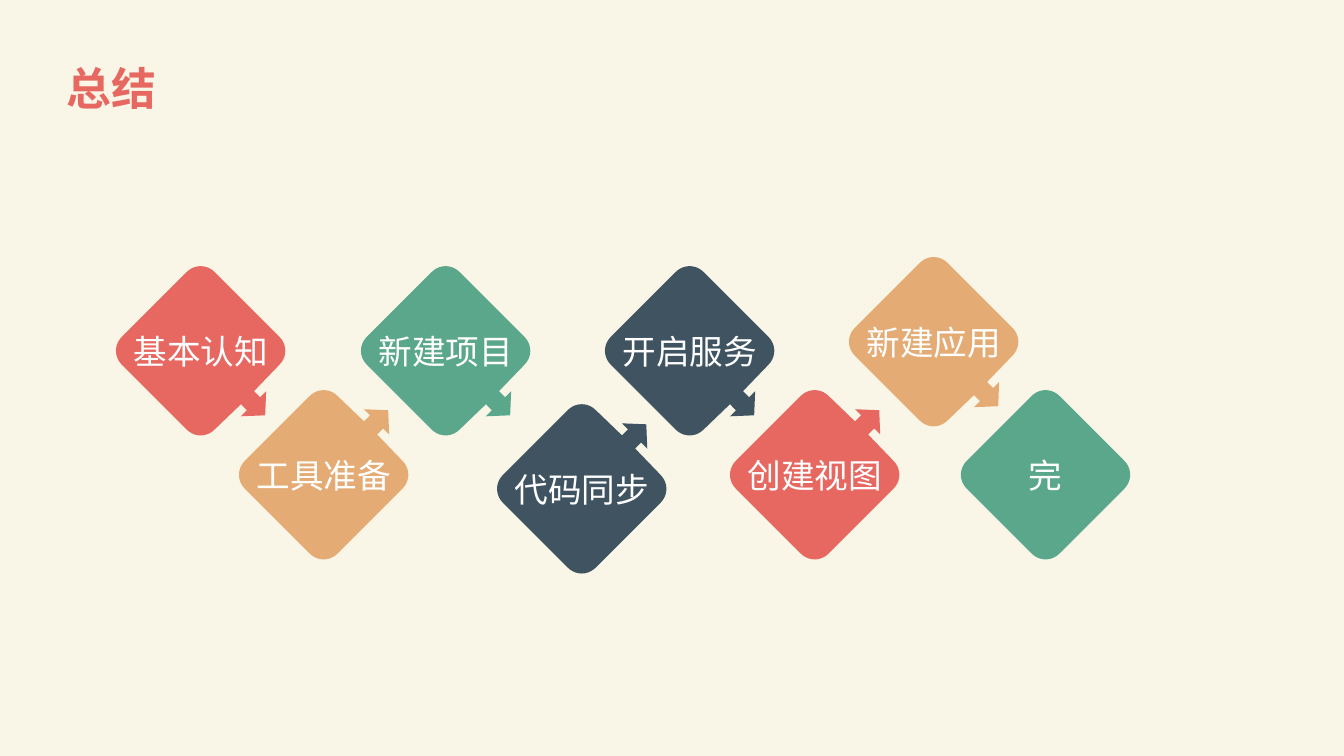
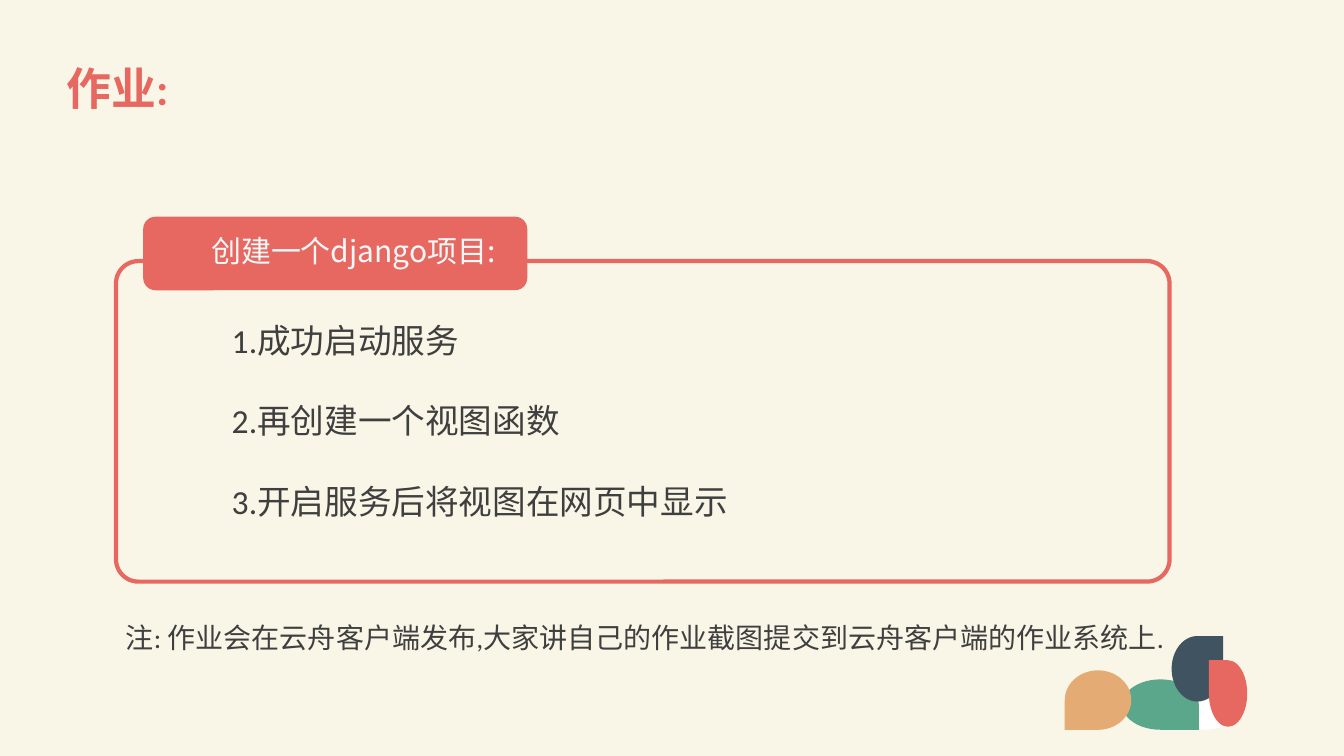
from dataclasses import dataclass

from lxml import etree
from pptx import Presentation
from pptx.dml.color import RGBColor
from pptx.enum.lang import MSO_LANGUAGE_ID
from pptx.enum.shapes import MSO_SHAPE
from pptx.enum.text import MSO_ANCHOR, PP_ALIGN
from pptx.oxml.ns import qn
from pptx.util import Inches, Pt

ROUNDED = MSO_SHAPE.ROUNDED_RECTANGLE
OVAL = MSO_SHAPE.OVAL
TEARDROP = MSO_SHAPE.TEAR
LEFT, CENTER = PP_ALIGN.LEFT, PP_ALIGN.CENTER
TOP, MIDDLE = MSO_ANCHOR.TOP, MSO_ANCHOR.MIDDLE
CHINESE = MSO_LANGUAGE_ID.SIMPLIFIED_CHINESE


@dataclass(frozen=True)
class Theme:
    """Colours, fonts and type sizes shared by the slides."""
    cream: str = "F9F6E7"
    coral: str = "E76861"
    green: str = "5BA78C"
    slate: str = "3F5361"
    sand: str = "E5AB74"
    white: str = "FFFFFF"
    tag_ink: str = "F8F8F8"
    ink: str = "3F3F3F"
    body_font: str = "Calibri"
    tile_font: str = "Arial"
    tag_font: str = "Noto Sans CJK SC"
    title_size: float = 32
    body_size: float = 24
    tag_size: float = 21.4
    note_size: float = 20


THEME = Theme()

TILE_SIZE = 1.68
CORNER = [(0.78, -0.14), (0.86, -0.06), (0.86, 0.06), (0.78, 0.14)]
ARROW = [(0.53, 0.40), (0.59, 0.46), (0.65, 0.40), (0.64, 0.64),
         (0.40, 0.65), (0.46, 0.59), (0.40, 0.53)]
CURVE_STEPS = 10

STEPS = [
    ("基本认知", 1.15, 2.64, THEME.coral, "down"),
    ("工具准备", 2.37, 3.87, THEME.sand, "up"),
    ("新建项目", 3.58, 2.64, THEME.green, "down"),
    ("代码同步", 4.93, 4.01, THEME.slate, "up"),
    ("开启服务", 6.00, 2.64, THEME.slate, "down"),
    ("创建视图", 7.24, 3.87, THEME.coral, "up"),
    ("新建应用", 8.42, 2.55, THEME.sand, "down"),
    ("完", 9.53, 3.87, THEME.green, None),
]

TASKS = ["1.成功启动服务", "2.再创建一个视图函数", "3.开启服务后将视图在网页中显示"]
NOTE = "注: 作业会在云舟客户端发布,大家讲自己的作业截图提交到云舟客户端的作业系统上."

PEBBLES = [
    (0.57, 0.43, 0.76, 0.50, 90, THEME.green),
    (1.06, 0.00, 0.51, 0.65, 0, THEME.slate),
    (1.43, 0.24, 0.38, 0.66, 270, THEME.coral),
    (0.00, 0.34, 0.66, 0.59, 180, THEME.sand),
]


def write_text(frame, lines, *, size, color, font=THEME.body_font, bold=False,
               align=LEFT, anchor=TOP, spacing=None, gap=0, wrap=True):
    """Fill a text frame with one formatted paragraph per line."""
    frame.word_wrap = wrap
    frame.vertical_anchor = anchor
    for index, line in enumerate(lines):
        paragraph = frame.add_paragraph() if index else frame.paragraphs[0]
        paragraph.alignment = align
        paragraph.line_spacing = spacing
        paragraph.space_after = Pt(gap)
        run = paragraph.add_run()
        run.text = line
        run.font.size = Pt(size)
        run.font.bold = bold
        run.font.name = font
        run.font.language_id = CHINESE
        run.font.color.rgb = RGBColor.from_string(color)
        east_asian = etree.SubElement(run.font._element, qn("a:ea"))
        east_asian.set("typeface", font)


def add_text(slide, box, lines, **style):
    """Place a text box at left, top, width, height."""
    label = slide.shapes.add_textbox(*map(Inches, box))
    write_text(label.text_frame, lines, **style)


def paint(shape, fill=None, line=None, width=0):
    """Set a shape's fill and outline and drop its shadow."""
    shape.shadow.inherit = False
    if fill:
        shape.fill.solid()
        shape.fill.fore_color.rgb = RGBColor.from_string(fill)
    else:
        shape.fill.background()
    if line:
        shape.line.color.rgb = RGBColor.from_string(line)
        shape.line.width = Pt(width)
    else:
        shape.line.fill.background()


def add_preset(slide, kind, box, **look):
    """Add a painted preset shape at left, top, width, height."""
    shape = slide.shapes.add_shape(kind, *map(Inches, box))
    paint(shape, **look)
    return shape


def bezier(points):
    """Sample a cubic curve given by four points."""
    curve = []
    for step in range(CURVE_STEPS + 1):
        t = step / CURVE_STEPS
        weights = ((1 - t) ** 3, 3 * t * (1 - t) ** 2, 3 * t * t * (1 - t), t ** 3)
        curve.append(tuple(sum(w * p[axis] for w, p in zip(weights, points))
                           for axis in (0, 1)))
    return curve


def tile_outline(direction):
    """Return a rounded diamond around its centre, with an optional arrow."""
    outline, corner = [], CORNER
    for turn in range(4):
        outline += bezier(corner)
        if turn == 0 and direction:
            outline += ARROW
        corner = [(-y, x) for x, y in corner]
    flip = -1 if direction == "up" else 1
    return [(x, flip * y) for x, y in outline]


def add_tile(slide, text, left, top, color, direction):
    """Draw one step of the zigzag with its label."""
    points = [(Inches(x), Inches(y)) for x, y in tile_outline(direction)]
    builder = slide.shapes.build_freeform(*points[0], scale=1.0)
    builder.add_line_segments(points[1:], close=True)
    center = TILE_SIZE / 2
    tile = builder.convert_to_shape(Inches(left + center), Inches(top + center))
    paint(tile, fill=color)
    write_text(tile.text_frame, [text], size=THEME.body_size, color=THEME.white,
               font=THEME.tile_font, align=CENTER, anchor=MIDDLE)


def add_pebbles(slide, left, top):
    """Draw the cluster of coloured pebbles in the corner."""
    add_preset(slide, OVAL, (left + 1.08, top + 0.63, 0.6, 0.3), fill=THEME.white)
    for x, y, width, height, angle, color in PEBBLES:
        center_x, center_y = left + x + width / 2, top + y + height / 2
        if angle % 180:
            width, height = height, width
        box = (center_x - width / 2, center_y - height / 2, width, height)
        add_preset(slide, TEARDROP, box, fill=color).rotation = angle


def add_task_panel(slide, left, top, width, height):
    """Draw the outlined panel with its tag and task list."""
    panel = add_preset(slide, ROUNDED, (left, top, width, height),
                       line=THEME.coral, width=3)
    panel.adjustments[0] = 0.07
    add_preset(slide, ROUNDED, (left + 0.27, top - 0.44, 3.81, 0.73), fill=THEME.coral)
    add_text(slide, (left + 0.45, top - 0.33, 3.81, 0.51), ["创建一个django项目:"],
             size=THEME.tag_size, color=THEME.tag_ink, font=THEME.tag_font,
             align=CENTER)
    add_text(slide, (left + 1.05, top + 0.53, 5.12, 2.12), TASKS,
             size=THEME.body_size, color=THEME.ink, gap=29)


def new_slide(deck, title):
    """Add a blank slide with the shared background and title."""
    slide = deck.slides.add_slide(deck.slide_layouts[6])
    slide.background.fill.solid()
    slide.background.fill.fore_color.rgb = RGBColor.from_string(THEME.cream)
    add_text(slide, (0.56, 0.37, 12.29, 1.06), [title], size=THEME.title_size,
             color=THEME.coral, bold=True, anchor=MIDDLE, spacing=0.9)
    return slide


def build_summary(deck):
    """Build the summary slide with its zigzag of steps."""
    slide = new_slide(deck, "总结")
    for step in STEPS:
        add_tile(slide, *step)


def build_homework(deck):
    """Build the homework slide."""
    slide = new_slide(deck, "作业:")
    add_pebbles(slide, 10.56, 6.31)
    add_task_panel(slide, 1.15, 2.59, 10.45, 3.18)
    add_text(slide, (1.15, 6.11, 10.47, 0.44), [NOTE],
             size=THEME.note_size, color=THEME.ink)


def main():
    """Build and save the deck."""
    deck = Presentation()
    deck.slide_width, deck.slide_height = Inches(13.33), Inches(7.5)
    build_summary(deck)
    build_homework(deck)
    deck.save("out.pptx")


if __name__ == "__main__":
    main()
